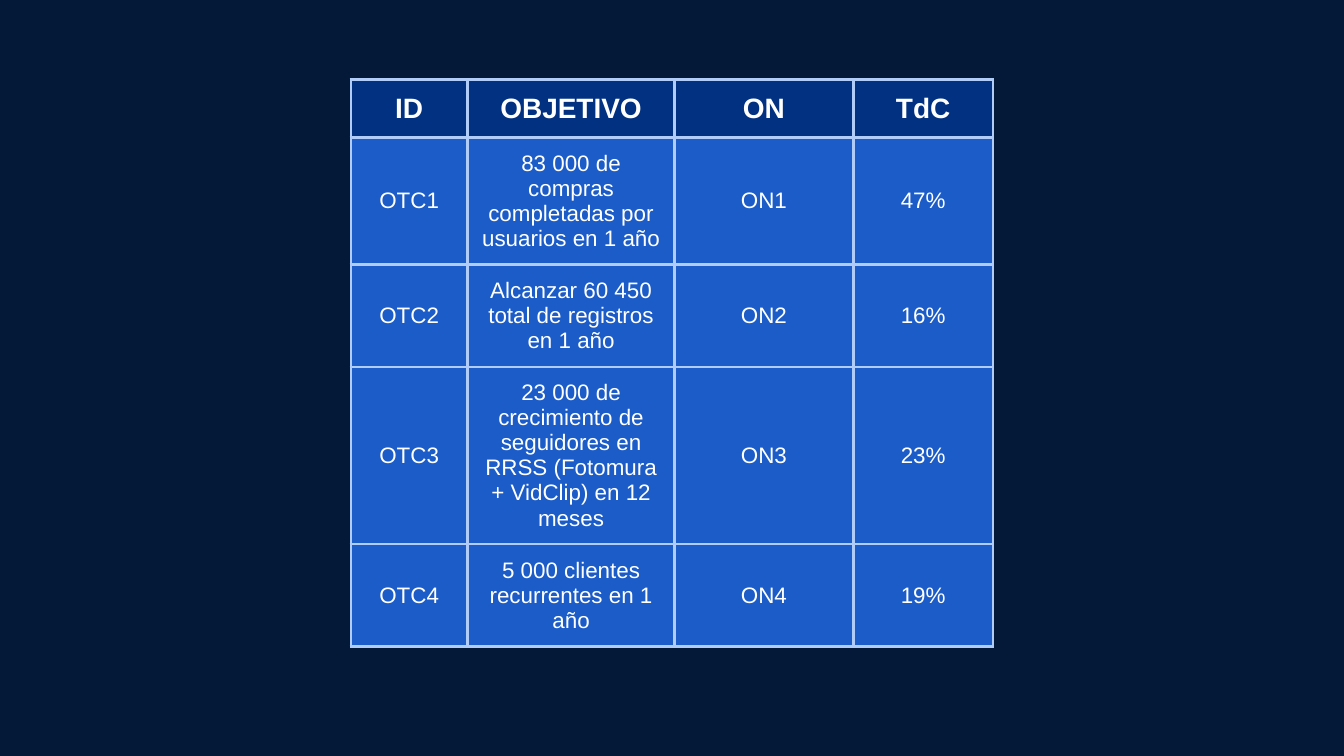
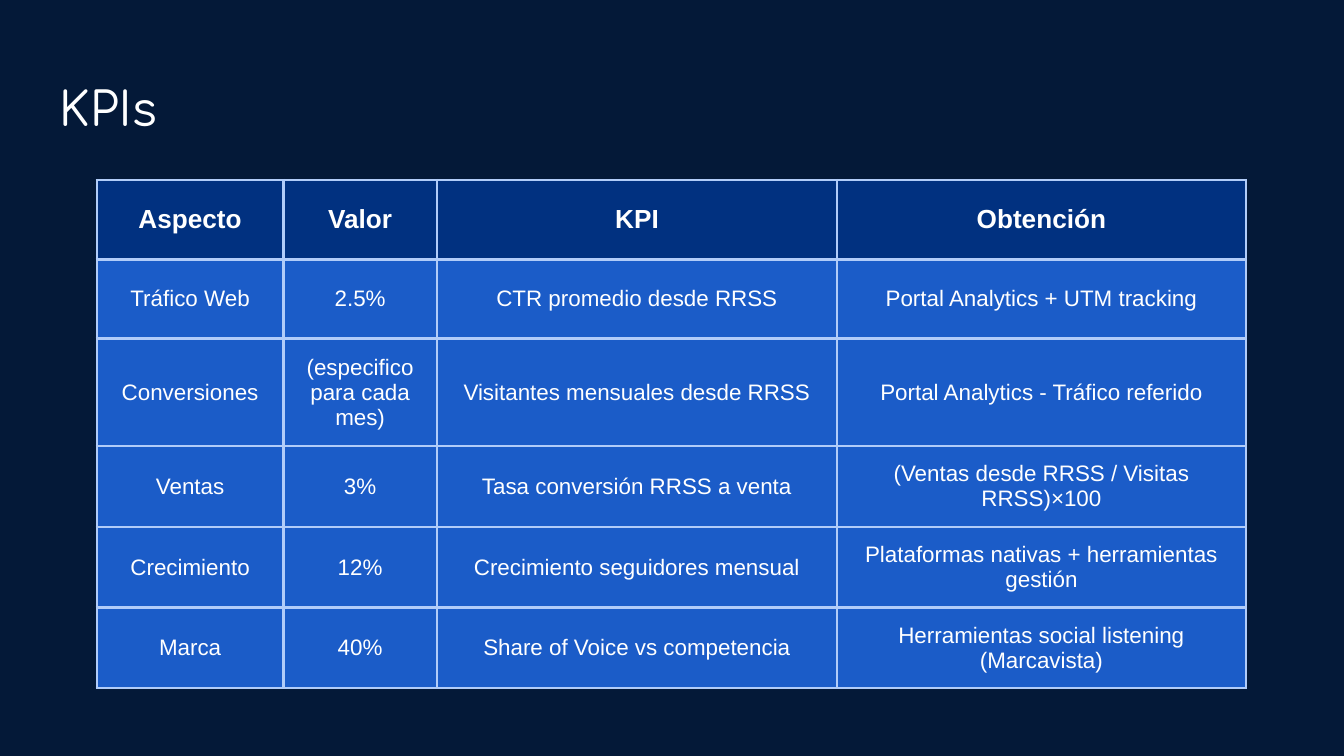
from dataclasses import dataclass

from lxml import etree
from pptx import Presentation
from pptx.dml.color import RGBColor
from pptx.enum.text import MSO_ANCHOR, PP_ALIGN
from pptx.oxml.ns import qn
from pptx.slide import Slide
from pptx.table import _Cell
from pptx.text.text import _Paragraph
from pptx.util import Inches, Pt

MIDDLE = MSO_ANCHOR.MIDDLE
CENTER = PP_ALIGN.CENTER
LEFT = PP_ALIGN.LEFT
MARGINS = ("margin_left", "margin_right", "margin_top", "margin_bottom")
BORDER_TAGS = ("a:lnL", "a:lnR", "a:lnT", "a:lnB")
SLIDE_WIDTH = Inches(10)
SLIDE_HEIGHT = SLIDE_WIDTH * 9 // 16
TABLE_FRAME = Inches(3.28)


@dataclass(frozen=True)
class Theme:
    background: str = "041938"
    header_fill: str = "013180"
    body_fill: str = "1B5CC8"
    border: str = "B1CCF9"
    text: str = "FFFFFF"
    title_font: str = "Comfortaa"
    table_font: str = "Arial"
    title_size: float = 25.2
    body_size: float = 12
    border_width: float = 1.5
    inset: float = 0.1


@dataclass(frozen=True)
class TableSpec:
    left: float
    top: float
    column_widths: list[float]
    row_heights: list[float]
    header_size: float
    rows: list[list[str]]


THEME = Theme()

OBJECTIVES = TableSpec(
    left=2.61,
    top=0.59,
    column_widths=[0.87, 1.54, 1.33, 1.04],
    row_heights=[0.33, 0.67, 0.57, 1.05, 0.48],
    header_size=15,
    rows=[
        ["ID", "OBJETIVO", "ON", "TdC"],
        ["OTC1", "83 000 de compras completadas por usuarios en 1 año", "ON1", "47%"],
        ["OTC2", "Alcanzar 60 450 total de registros en 1 año", "ON2", "16%"],
        ["OTC3", "23 000 de crecimiento de seguidores en RRSS (Fotomura + VidClip) en 12 meses",
         "ON3", "23%"],
        ["OTC4", "5 000 clientes recurrentes en 1 año", "ON4", "19%"],
    ],
)

KPIS = TableSpec(
    left=0.72,
    top=1.34,
    column_widths=[1.39, 1.14, 2.98, 3.04],
    row_heights=[0.59] * 6,
    header_size=14,
    rows=[
        ["Aspecto", "Valor", "KPI", "Obtención"],
        ["Tráfico Web", "2.5%", "CTR promedio desde RRSS", "Portal Analytics + UTM tracking"],
        ["Conversiones", "(especifico para cada mes)", "Visitantes mensuales desde RRSS",
         "Portal Analytics - Tráfico referido"],
        ["Ventas", "3%", "Tasa conversión RRSS a venta", "(Ventas desde RRSS / Visitas RRSS)×100"],
        ["Crecimiento", "12%", "Crecimiento seguidores mensual",
         "Plataformas nativas + herramientas gestión"],
        ["Marca", "40%", "Share of Voice vs competencia",
         "Herramientas social listening (Marcavista)"],
    ],
)


def write_text(paragraph: _Paragraph, text: str, font: str, size: float,
               bold: bool = False, alignment: PP_ALIGN = LEFT) -> None:
    paragraph.alignment = alignment
    run = paragraph.add_run()
    run.text = text
    for name, value in {"name": font, "size": Pt(size), "bold": bold}.items():
        setattr(run.font, name, value)
    run.font.color.rgb = RGBColor.from_string(THEME.text)


def add_borders(cell: _Cell) -> None:
    """Outline the cell; the border lines must come before its fill."""
    properties = cell._tc.get_or_add_tcPr()
    for position, tag in enumerate(BORDER_TAGS):
        line = etree.Element(qn(tag), w=str(Pt(THEME.border_width)))
        fill = etree.SubElement(line, qn("a:solidFill"))
        etree.SubElement(fill, qn("a:srgbClr"), val=THEME.border)
        properties.insert(position, line)


def fill_cell(cell: _Cell, text: str, is_header: bool, header_size: float) -> None:
    for margin in MARGINS:
        setattr(cell, margin, Inches(THEME.inset))
    cell.vertical_anchor = MIDDLE
    cell.fill.solid()
    cell.fill.fore_color.rgb = RGBColor.from_string(
        THEME.header_fill if is_header else THEME.body_fill)
    add_borders(cell)
    write_text(cell.text_frame.paragraphs[0], text, THEME.table_font,
               header_size if is_header else THEME.body_size, is_header, CENTER)


def add_data_table(slide: Slide, spec: TableSpec) -> None:
    """Draw the table in a compact frame, so that its rows grow only to fit their text."""
    shape = slide.shapes.add_table(
        len(spec.rows), len(spec.column_widths), Inches(spec.left), Inches(spec.top),
        TABLE_FRAME, TABLE_FRAME)
    table = shape.table
    table.horz_banding = False
    for column, width in zip(table.columns, spec.column_widths):
        column.width = Inches(width)
    for row, height in zip(table.rows, spec.row_heights):
        row.height = Inches(height)
    shape.width = shape.height = TABLE_FRAME
    for row_index, texts in enumerate(spec.rows):
        for column_index, text in enumerate(texts):
            fill_cell(table.cell(row_index, column_index), text, row_index == 0,
                      spec.header_size)


def add_title(slide: Slide, text: str) -> None:
    frame = slide.shapes.add_textbox(
        Inches(0.34), Inches(0.49), Inches(9.32), Inches(0.63)).text_frame
    frame.word_wrap = True
    for margin in MARGINS:
        setattr(frame, margin, Inches(THEME.inset))
    write_text(frame.paragraphs[0], text, THEME.title_font, THEME.title_size)


def add_dark_slide(presentation: Presentation) -> Slide:
    slide = presentation.slides.add_slide(presentation.slide_layouts[6])
    slide.background.fill.solid()
    slide.background.fill.fore_color.rgb = RGBColor.from_string(THEME.background)
    return slide


def main() -> None:
    presentation = Presentation()
    presentation.slide_width = SLIDE_WIDTH
    presentation.slide_height = SLIDE_HEIGHT

    objectives_slide = add_dark_slide(presentation)
    add_data_table(objectives_slide, OBJECTIVES)

    kpi_slide = add_dark_slide(presentation)
    add_title(kpi_slide, "KPIs")
    add_data_table(kpi_slide, KPIS)

    presentation.save("out.pptx")


if __name__ == "__main__":
    main()
